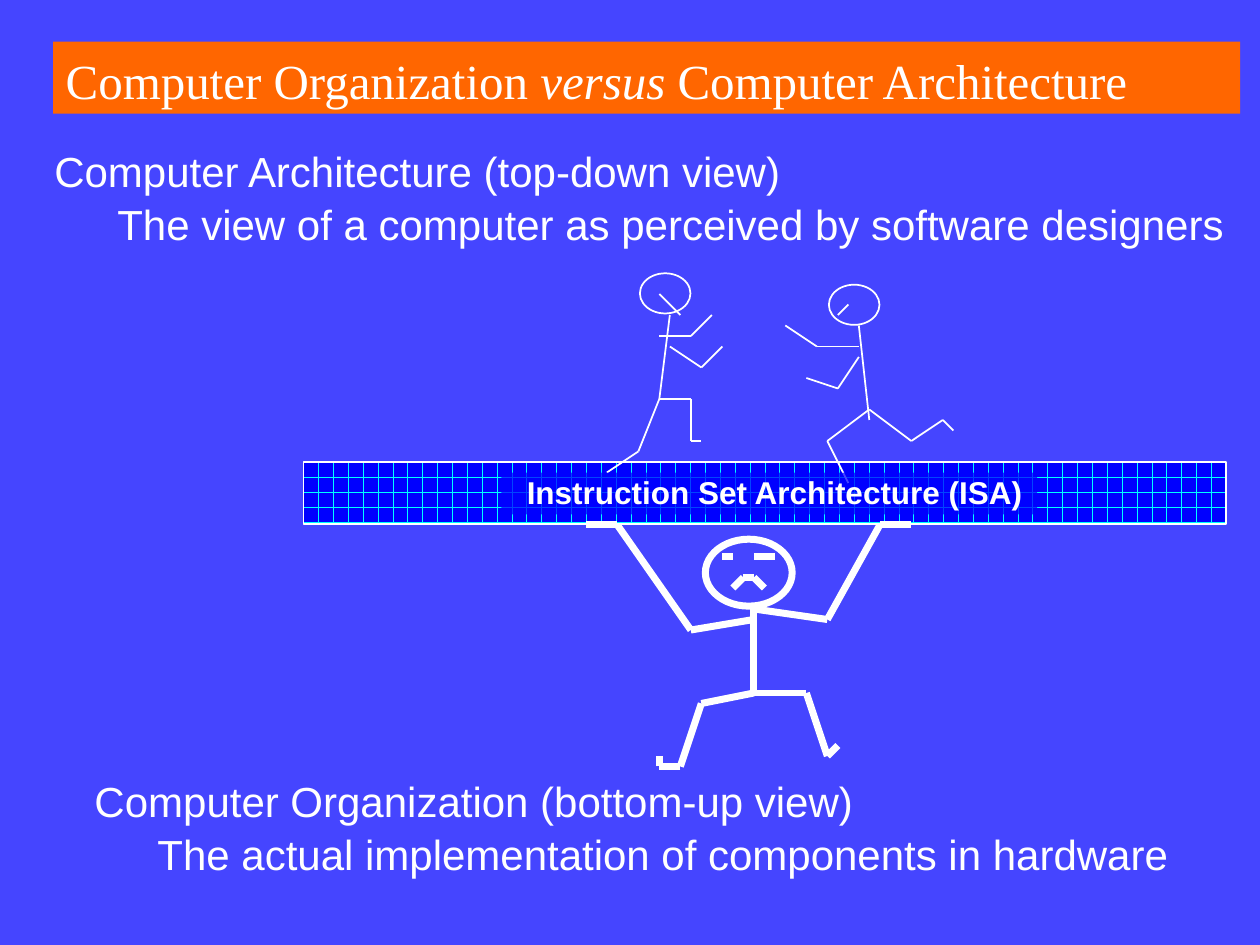
from itertools import pairwise
from lxml.etree import SubElement as Sub
from pptx import Presentation as Deck
from pptx.dml.color import RGBColor
from pptx.enum.dml import MSO_PATTERN as Pat
from pptx.enum.shapes import MSO_CONNECTOR as Link, MSO_SHAPE as Form
from pptx.enum.text import MSO_ANCHOR as Anchor, MSO_AUTO_SIZE as Fit, PP_ALIGN as Align
from pptx.oxml.ns import qn
from pptx.util import Cm, Pt


def tint(code):
    return RGBColor.from_string(code)


class Page:
    white, blue, cyan = "FFFFFF", "0000FF", "00FFFF"
    back, band = "4545FF", "FF6600"
    sans, serif = "Arial", "Times New Roman"
    left, top, step = 11.81, 5.08, 2.54 / 12

    def __init__(self, deck):
        self.slide = deck.slides.add_slide(deck.slide_layouts[3])
        fill = self.slide.background.fill
        fill.solid()
        fill.fore_color.rgb = tint(self.back)

    def place(self, shape, box):
        shape.left, shape.top, shape.width, shape.height = map(Cm, box)

    def frame(self, shape):
        frame = shape.text_frame
        frame.auto_size = Fit.NONE
        frame.vertical_anchor = Anchor.TOP
        return frame

    def style(self, para, font, size, pitch, bold=False):
        para.alignment = Align.LEFT
        para.space_before = Pt(0)
        para.line_spacing = pitch
        for run in para.runs:
            run.font.name, run.font.size, run.font.bold = font, Pt(size), bold
            run.font.color.rgb = tint(self.white)

    def title(self, parts, box):
        shape = self.slide.shapes.title
        self.place(shape, box)
        shape.fill.solid()
        shape.fill.fore_color.rgb = tint(self.band)
        para = self.frame(shape).paragraphs[0]
        for text, slant in parts:
            run = para.add_run()
            run.text = text
            run.font.italic = slant
        self.style(para, self.serif, 28, 1.05)

    def body(self, slot, head, note, box):
        shape = self.slide.placeholders[slot]
        self.place(shape, box)
        frame = self.frame(shape)
        frame.text = head + "\n" + note
        for level, para in enumerate(frame.paragraphs):
            para.level = level
            props = para._p.get_or_add_pPr()
            props.set("marL", str(Cm(1.27 * level)))
            props.set("indent", "0")
            Sub(props, qn("a:buNone"))
            self.style(para, self.sans, 24, 1.06)

    def shape(self, form, box):
        shape = self.slide.shapes.add_shape(form, *map(Cm, box))
        shape.shadow.inherit = False
        shape.line.color.rgb = tint(self.white)
        shape.line.width = Pt(1)
        return shape

    def bar(self, box):
        fill = self.shape(Form.RECTANGLE, box).fill
        fill.patterned()
        fill.pattern = Pat.HORIZONTAL_BRICK
        fill.fore_color.rgb = tint(self.cyan)
        fill.back_color.rgb = tint(self.blue)

    def label(self, text, box):
        shape = self.shape(Form.RECTANGLE, box)
        shape.line.fill.background()
        shape.fill.solid()
        shape.fill.fore_color.rgb = tint(self.blue)
        color = shape._element.spPr.find(qn("a:solidFill"))[0]
        Sub(color, qn("a:alpha"), val="73000")
        frame = self.frame(shape)
        frame.word_wrap = False
        frame.margin_left, frame.margin_right = Cm(0.51), Cm(0.18)
        frame.margin_top = frame.margin_bottom = Cm(0.08)
        frame.text = text
        self.style(frame.paragraphs[0], self.sans, 18, 0.92, True)

    def head(self, box, width):
        shape = self.shape(Form.OVAL, box)
        shape.fill.background()
        shape.line.width = Pt(width)

    def spot(self, point):
        col, row = point
        return Cm(self.left + col * self.step), Cm(self.top + row * self.step)

    def limb(self, points, width):
        for start, end in pairwise(points):
            line = self.slide.shapes.add_connector(
                Link.STRAIGHT, *self.spot(start), *self.spot(end))
            line.line.color.rgb = tint(self.white)
            line.line.width = Pt(width)
            Sub(line._element.spPr, qn("a:effectLst"))

    def figure(self, box, limbs, width):
        self.head(box, width)
        for points in limbs:
            self.limb(points, width)


CHASER = [
    [(8, 6), (7, 14), (10, 14), (10, 18), (11, 18)],
    [(7, 14), (5, 19), (2, 21)],
    [(8, 9), (11, 11), (13, 9)],
    [(7, 8), (10, 8), (12, 6)],
    [(9, 6), (7, 4)],
]
RUNNER = [
    [(26, 7), (27, 16)],
    [(27, 15), (23, 18), (25, 22)],
    [(27, 15), (31, 18), (34, 16), (35, 17)],
    [(26, 10), (24, 13), (21, 12)],
    [(26, 9), (22, 9), (19, 7)],
    [(24, 6), (25, 5)],
]
BEARER = [
    [(14, 32), (15, 31), (16, 31), (17, 32)],
    [(16, 29), (18, 29)],
    [(14, 29), (13, 29)],
    [(16, 34), (16, 42), (21, 42), (23, 48), (24, 47)],
    [(16, 42), (11, 43), (9, 49), (7, 49), (7, 48)],
    [(16, 34), (23, 35), (28, 26), (31, 26)],
    [(16, 35), (10, 36), (3, 26), (0, 26)],
]


def main():
    deck = Deck()
    deck.slide_width, deck.slide_height = Cm(25.4), Cm(19.05)
    page = Page(deck)
    page.title([("Computer Organization ", False), ("versus", True),
                (" Computer Architecture", False)], (1.07, 0.84, 23.93, 1.45))
    page.body(1, "Computer Architecture (top-down view)",
              "The view of a computer as perceived by software designers",
              (0.84, 2.74, 24.56, 2.31))
    page.body(2, "Computer Organization (bottom-up view)",
              "The actual implementation of components in hardware",
              (1.65, 15.44, 23.06, 2.31))
    page.bar((6.12, 9.32, 18.59, 1.24))
    page.figure((12.9, 5.51, 1.02, 0.81), CHASER, 1)
    page.figure((16.71, 5.74, 1.02, 0.81), RUNNER, 1)
    page.figure((14.22, 10.87, 1.75, 1.35), BEARER, 4)
    page.label("Instruction Set Architecture (ISA)", (10.11, 9.53, 10.8, 0.84))
    deck.save("out.pptx")


if __name__ == "__main__":
    main()
